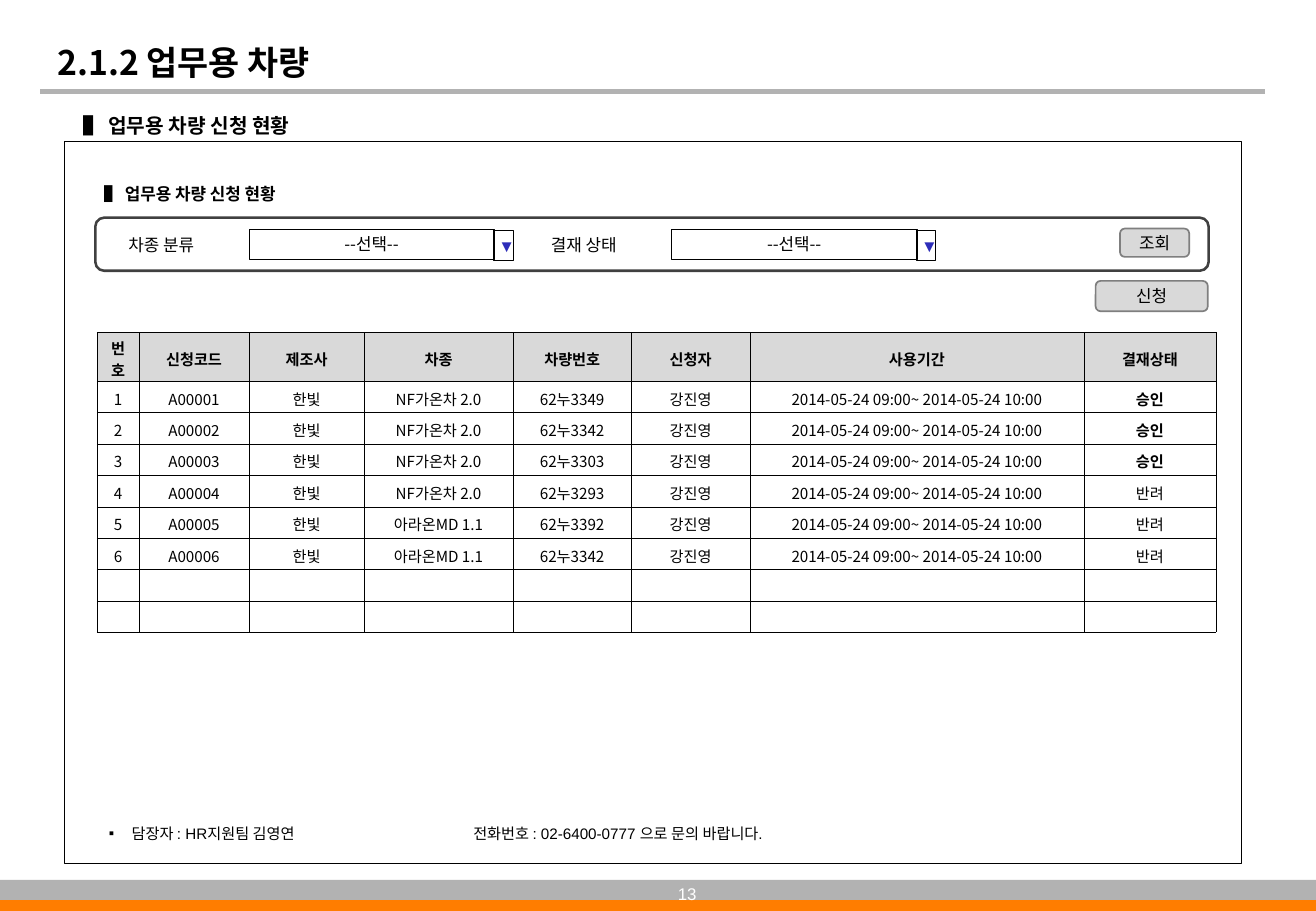
import pptx
import pptx.util
import pptx.dml.color
import pptx.enum.shapes
import pptx.enum.text
import lxml.etree

Pt = pptx.util.Pt
RGBColor = pptx.dml.color.RGBColor
SHAPE = pptx.enum.shapes.MSO_SHAPE
ALIGN = pptx.enum.text.PP_ALIGN
ANCHOR = pptx.enum.text.MSO_ANCHOR
DRAWING = "http://schemas.openxmlformats.org/drawingml/2006/main"
KOREAN = "Noto Sans CJK KR"
COLORS = {"black": "000000", "white": "FFFFFF", "rule": "B2B2B2", "orange": "FF7D00",
          "button": "D9D9D9", "button_edge": "7F7F7F", "search_edge": "404040", "arrow": "2D2DB9"}


def write(frame, text, size, font=KOREAN, color="black", bold=False, align=ALIGN.LEFT,
          anchor=ANCHOR.TOP, margins=(7.2, 3.6), wrap=True):
    """Put one formatted paragraph into a text frame and return it."""
    frame.word_wrap = wrap
    frame.vertical_anchor = anchor
    frame.margin_left = frame.margin_right = Pt(margins[0])
    frame.margin_top = frame.margin_bottom = Pt(margins[1])
    para = frame.paragraphs[0]
    para.text = text
    para.alignment = align
    para.font.size = Pt(size)
    para.font.bold = bold
    para.font.color.rgb = RGBColor.from_string(COLORS[color])
    para.font.name = font
    east_asian = lxml.etree.SubElement(para.font._element, f"{{{DRAWING}}}ea")
    east_asian.set("typeface", KOREAN)
    return para


def add_box(kind, left, top, width, height, fill=None, line=None, line_width=0.25):
    box = page.shapes.add_shape(kind, Pt(left), Pt(top), Pt(width), Pt(height))
    box.shadow.inherit = False
    if fill:
        box.fill.solid()
        box.fill.fore_color.rgb = RGBColor.from_string(COLORS[fill])
    else:
        box.fill.background()
    if line:
        box.line.color.rgb = RGBColor.from_string(COLORS[line])
        box.line.width = Pt(line_width)
    else:
        box.line.fill.background()
    return box


deck = pptx.Presentation()
deck.slide_width, deck.slide_height = Pt(780.13), Pt(540)
page = deck.slides.add_slide(deck.slide_layouts[5])

# Page frame
rule = page.shapes.add_connector(pptx.enum.shapes.MSO_CONNECTOR.STRAIGHT,
                                 Pt(24), Pt(54), Pt(750), Pt(54))
rule.line.color.rgb = RGBColor.from_string(COLORS["rule"])
rule.line.width = Pt(3)
lxml.etree.SubElement(rule._element.spPr, f"{{{DRAWING}}}effectLst")
add_box(SHAPE.RECTANGLE, 0, 528.5, 780, 11.5, "orange")
add_box(SHAPE.RECTANGLE, 0, 521.5, 780, 12, "rule")

title = page.shapes.title
title.left, title.top, title.width, title.height = Pt(26.75), Pt(16.5), Pt(580), Pt(36)
write(title.text_frame, "2.1.2 업무용 차량", 20, bold=True, anchor=ANCHOR.BOTTOM)
add_box(SHAPE.RECTANGLE, 38, 84, 698, 428, line="black")

# Headings, labels and page number
for text, left, top, width, height, style in [
    ("▌ 업무용 차량 신청 현황", 42.5, 63.5, 285, 21.5, {"size": 12, "bold": True}),
    ("▌ 업무용 차량 신청 현황", 54.75, 105.25, 285, 19.5, {"size": 10, "bold": True}),
    ("차종 분류", 69, 135.5, 54, 19.5, {"size": 10, "font": "Arial", "wrap": False}),
    ("결재 상태", 319.5, 135.5, 54, 19.5, {"size": 10, "font": "Arial", "wrap": False}),
    ("13", 360, 520, 60, 19.5, {"size": 10, "font": "Arial", "color": "white", "wrap": False,
                                "align": ALIGN.RIGHT, "anchor": ANCHOR.MIDDLE}),
]:
    label = page.shapes.add_textbox(Pt(left), Pt(top), Pt(width), Pt(height))
    write(label.text_frame, text, **style)

# Contact line
contact = page.shapes.add_textbox(Pt(57.5), Pt(485), Pt(410), Pt(18))
para = write(contact.text_frame,
             "담장자 : HR지원팀 김영연\t\t전화번호 : 02-6400-0777 으로 문의 바랍니다.",
             9, font="Arial", wrap=False)
properties = para._p.get_or_add_pPr()
properties.set("marL", str(Pt(13.5)))
properties.set("indent", str(Pt(-13.5)))
bullet_font = lxml.etree.Element(f"{{{DRAWING}}}buFont", typeface="Arial")
bullet = lxml.etree.Element(f"{{{DRAWING}}}buChar", char="▪")
tabs = lxml.etree.Element(f"{{{DRAWING}}}tabLst")
for position in (144, 216):
    lxml.etree.SubElement(tabs, f"{{{DRAWING}}}tab", pos=str(Pt(position)), algn="l")
for index, element in enumerate([bullet_font, bullet, tabs]):
    properties.insert(index, element)

# Search bar with drop-downs and buttons
add_box(SHAPE.ROUNDED_RECTANGLE, 56.5, 129, 660, 31.5, line="search_edge", line_width=1.5)
for left in (147.5, 398):
    choice = add_box(SHAPE.RECTANGLE, left, 136, 145.5, 17.5, "white", "black")
    write(choice.text_frame, "--선택--", 10, align=ALIGN.CENTER,
          anchor=ANCHOR.MIDDLE, margins=(3, 3))
    arrow = add_box(SHAPE.RECTANGLE, left + 145, 136.5, 11.5, 18, line="black")
    write(arrow.text_frame, "▼", 10, font="Arial", color="arrow", align=ALIGN.CENTER,
          anchor=ANCHOR.MIDDLE, margins=(3, 3))
for text, left, top, width, height, font in [("조회", 664, 135.5, 41, 16.75, KOREAN),
                                             ("신청", 649.5, 166.5, 66.5, 18, "Arial")]:
    button = add_box(SHAPE.ROUNDED_RECTANGLE, left, top, width, height,
                     "button", "button_edge", 1)
    write(button.text_frame, text, 10, font=font, align=ALIGN.CENTER,
          anchor=ANCHOR.MIDDLE, margins=(0, 3.6))

# Request table
headers = ["번호", "신청코드", "제조사", "차종", "차량번호", "신청자", "사용기간", "결재상태"]
requests = [
    ("NF가온차 2.0", "62누3349", "승인"),
    ("NF가온차 2.0", "62누3342", "승인"),
    ("NF가온차 2.0", "62누3303", "승인"),
    ("NF가온차 2.0", "62누3293", "반려"),
    ("아라온MD 1.1", "62누3392", "반려"),
    ("아라온MD 1.1", "62누3342", "반려"),
]
rows = [headers]
for number, (model, plate, status) in enumerate(requests, 1):
    rows.append([str(number), f"A{number:05}", "한빛", model, plate, "강진영",
                 "2014-05-24 09:00~ 2014-05-24 10:00", status])
rows += [[""] * len(headers)] * 2
widths = [25, 65, 68.5, 88, 70.5, 70, 198, 78.5]
table = page.shapes.add_table(len(rows), len(widths), Pt(57.5), Pt(197),
                              Pt(sum(widths)), Pt(177.8)).table
table.first_row = table.horz_banding = False
for column, width in zip(table.columns, widths):
    column.width = Pt(width)
for row_index, values in enumerate(rows):
    is_header = row_index == 0
    table.rows[row_index].height = Pt(29 if is_header else 18.6)
    for column_index, value in enumerate(values):
        cell = table.cell(row_index, column_index)
        write(cell.text_frame, value, 9, bold=is_header or value == "승인", align=ALIGN.CENTER)
        cell.vertical_anchor = ANCHOR.MIDDLE
        cell.margin_left = cell.margin_right = Pt(7.2 if is_header else 3)
        cell.margin_top, cell.margin_bottom = Pt(2.5), Pt(0.5)
        cell_properties = cell._tc.get_or_add_tcPr()
        for side in ("lnL", "lnR", "lnT", "lnB"):
            border = lxml.etree.SubElement(cell_properties, f"{{{DRAWING}}}{side}", w=str(Pt(0.25)))
            paint = lxml.etree.SubElement(border, f"{{{DRAWING}}}solidFill")
            lxml.etree.SubElement(paint, f"{{{DRAWING}}}srgbClr", val=COLORS["black"])
        if is_header:
            cell.fill.solid()
            cell.fill.fore_color.rgb = RGBColor.from_string(COLORS["button"])
        else:
            cell.fill.background()

deck.save("out.pptx")
